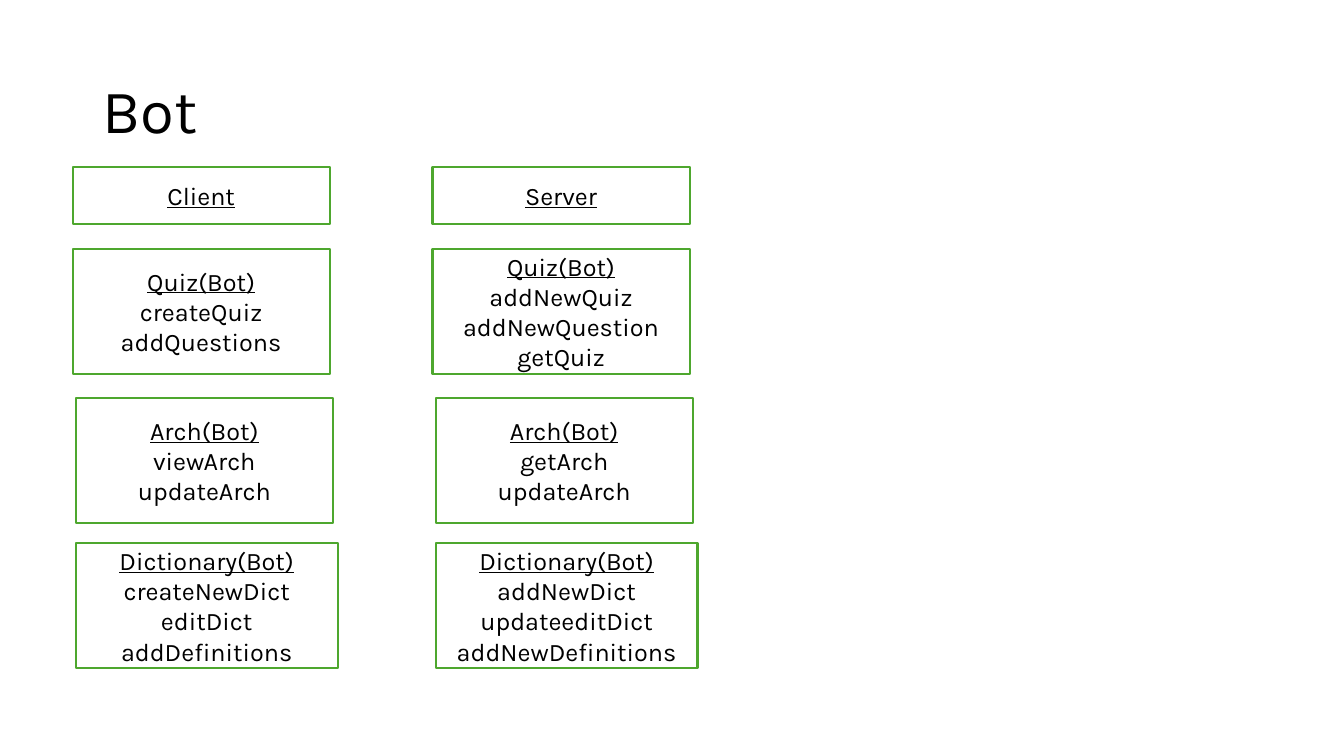
from pptx import Presentation
from pptx.dml.color import RGBColor
from pptx.enum.shapes import MSO_SHAPE
from pptx.enum.text import MSO_ANCHOR, PP_ALIGN
from pptx.util import Cm, Pt

RECTANGLE = MSO_SHAPE.RECTANGLE
MIDDLE = MSO_ANCHOR.MIDDLE
CENTER = PP_ALIGN.CENTER

BLACK = RGBColor(0x00, 0x00, 0x00)
WHITE = RGBColor(0xFF, 0xFF, 0xFF)
GREEN = RGBColor(0x4E, 0xA7, 0x2E)
FONT = "Karla"

COLUMN_STEP = 9.07

# Left, top, width and height in cm of each row's box in the first column
ROWS = [
    (1.83, 4.22, 6.48, 1.42),
    (1.83, 6.27, 6.48, 3.15),
    (1.91, 10.03, 6.48, 3.15),
    (1.91, 13.69, 6.6, 3.15),
]

# Each box holds a heading followed by its functions
COLUMNS = [
    [
        ["Client"],
        ["Quiz(Bot)", "createQuiz", "addQuestions"],
        ["Arch(Bot)", "viewArch", "updateArch"],
        ["Dictionary(Bot)", "createNewDict", "editDict", "addDefinitions"],
    ],
    [
        ["Server"],
        ["Quiz(Bot)", "addNewQuiz", "addNewQuestion", "getQuiz"],
        ["Arch(Bot)", "getArch", "updateArch"],
        ["Dictionary(Bot)", "addNewDict", "updateeditDict", "addNewDefinitions"],
    ],
]


def set_font(paragraph, size):
    paragraph.font.name = FONT
    paragraph.font.size = Pt(size)
    paragraph.font.color.rgb = BLACK


def add_title(slide, text):
    title = slide.shapes.add_textbox(Cm(2.33), Cm(1.01), Cm(29.21), Cm(3.68))
    text_frame = title.text_frame
    text_frame.word_wrap = True
    text_frame.vertical_anchor = MIDDLE
    paragraph = text_frame.paragraphs[0]
    paragraph.text = text
    paragraph.line_spacing = 0.9
    set_font(paragraph, 44)


def add_box(slide, left, top, width, height, lines):
    """Add an outlined box whose first line is an underlined heading."""
    box = slide.shapes.add_shape(RECTANGLE, Cm(left), Cm(top), Cm(width), Cm(height))
    box.shadow.inherit = False
    box.fill.solid()
    box.fill.fore_color.rgb = WHITE
    box.line.color.rgb = GREEN
    box.line.width = Pt(1.5)
    text_frame = box.text_frame
    text_frame.word_wrap = True
    text_frame.vertical_anchor = MIDDLE
    text_frame.text = "\n".join(lines)
    for paragraph in text_frame.paragraphs:
        paragraph.alignment = CENTER
        set_font(paragraph, 18)
    text_frame.paragraphs[0].font.underline = True


def main():
    presentation = Presentation()
    presentation.slide_width = Cm(33.87)
    presentation.slide_height = Cm(19.05)
    slide = presentation.slides.add_slide(presentation.slide_layouts[6])

    add_title(slide, "Bot")
    for column, boxes in enumerate(COLUMNS):
        for (left, top, width, height), lines in zip(ROWS, boxes):
            add_box(slide, left + column * COLUMN_STEP, top, width, height, lines)

    presentation.save("out.pptx")


if __name__ == "__main__":
    main()
